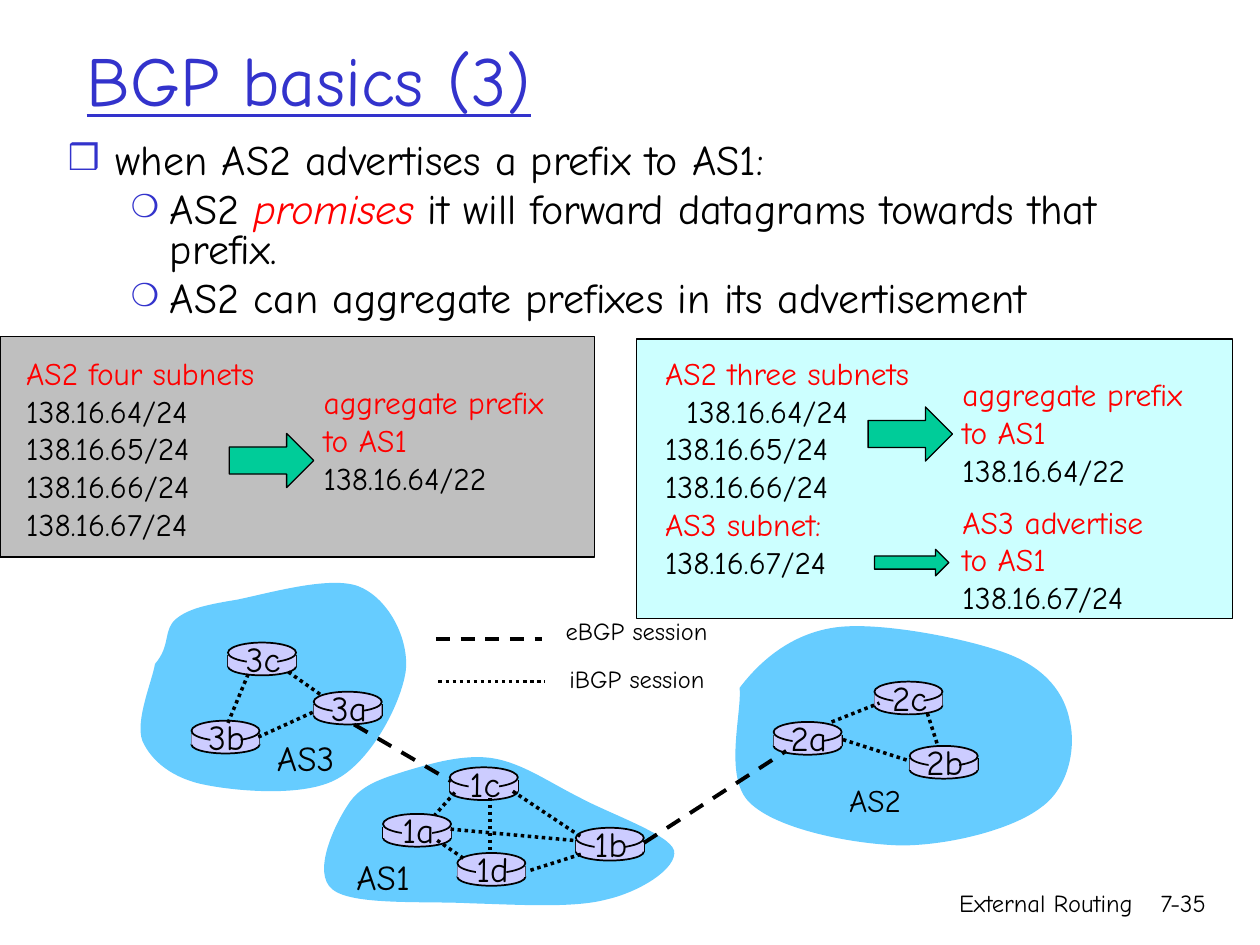
from lxml import etree
from pptx import Presentation
from pptx.dml.color import RGBColor
from pptx.enum.dml import MSO_LINE
from pptx.enum.shapes import MSO_CONNECTOR, MSO_SHAPE
from pptx.enum.text import MSO_ANCHOR, PP_ALIGN
from pptx.oxml.ns import qn
from pptx.util import Inches, Pt

RECT, OVAL, ARROW = MSO_SHAPE.RECTANGLE, MSO_SHAPE.OVAL, MSO_SHAPE.RIGHT_ARROW
STRAIGHT = MSO_CONNECTOR.STRAIGHT
DASH, DOT = MSO_LINE.DASH, MSO_LINE.ROUND_DOT
LEFT, CENTER, RIGHT = PP_ALIGN.LEFT, PP_ALIGN.CENTER, PP_ALIGN.RIGHT
TOP, MIDDLE = MSO_ANCHOR.TOP, MSO_ANCHOR.MIDDLE
FONT = "Comic Neue"
COLORS = {
    "black": "000000", "blue": "3333CC", "red": "FF0000", "gray": "BFBFBF",
    "cyan": "CCFFFF", "cloud": "66CCFF", "node": "CCCCFF", "green": "00CC99",
}

AS3 = {
    "name": "AS3", "size": 20, "tag": (1.03, 1.24), "start": (0.16, 0.71),
    "curves": [
        (0.29, 0.56, 0.22, 0.44, 0.33, 0.35), (0.43, 0.27, 0.57, 0.24, 0.81, 0.2),
        (1.06, 0.15, 1.57, 0, 1.79, 0.1), (2.02, 0.2, 2.18, 0.52, 2.15, 0.77),
        (2.11, 1.03, 1.88, 1.47, 1.61, 1.62), (1.35, 1.77, 0.81, 1.72, 0.56, 1.67),
        (0.3, 1.62, 0.13, 1.48, 0.06, 1.32), (0, 1.16, 0.14, 0.84, 0.16, 0.71)],
    "nodes": {"3b": (0.45, 1.16), "3a": (1.42, 0.93), "3c": (0.74, 0.54)},
    "links": [(0.98, 1.29, 1.42, 1.09), (1.47, 0.95, 1.2, 0.76), (0.9, 0.79, 0.73, 1.2)],
}
AS1 = {
    "name": "AS1", "size": 20, "tag": (0.26, 0.76), "start": (0.29, 0.41),
    "curves": [
        (0.39, 0.25, 0.56, 0.2, 0.75, 0.14), (0.95, 0.08, 1.22, 0, 1.45, 0.04),
        (1.68, 0.08, 1.89, 0.23, 2.13, 0.35), (2.37, 0.48, 2.84, 0.64, 2.88, 0.77),
        (2.91, 0.91, 2.61, 1.1, 2.34, 1.16), (2.08, 1.23, 1.63, 1.2, 1.27, 1.19),
        (0.91, 1.17, 0.33, 1.21, 0.17, 1.08), (0, 0.95, 0.19, 0.56, 0.29, 0.41)],
    "nodes": {"1a": (0.57, 0.48), "1b": (2.1, 0.59), "1c": (1.1, 0.11), "1d": (1.16, 0.79)},
    "links": [(1.14, 0.31, 0.98, 0.49), (1.42, 0.35, 1.42, 0.78), (1.6, 0.3, 2.14, 0.66),
              (2.14, 0.8, 1.73, 0.93), (2.08, 0.69, 1.1, 0.6), (1, 0.69, 1.22, 0.84)],
}
AS2 = {
    "name": "AS2", "size": 18, "tag": (0.9, 1.22), "start": (0.13, 0.53),
    "curves": [
        (0.28, 0.33, 0.53, 0.1, 0.89, 0.05), (1.24, 0, 1.95, 0.14, 2.26, 0.26),
        (2.57, 0.38, 2.71, 0.58, 2.75, 0.79), (2.8, 0.99, 2.75, 1.32, 2.52, 1.48),
        (2.3, 1.65, 1.8, 1.78, 1.41, 1.78), (1.02, 1.77, 0.42, 1.65, 0.21, 1.44),
        (0, 1.24, 0.15, 0.73, 0.13, 0.53)],
    "nodes": {"2a": (0.4, 0.8), "2c": (1.2, 0.48), "2b": (1.48, 0.99)},
    "links": [(0.95, 0.94, 1.48, 1.11), (0.86, 0.8, 1.24, 0.65), (1.62, 0.73, 1.7, 0.98)],
}


def rgb(name):
    return RGBColor.from_string(COLORS[name])


def paint(shape, fill, width=None):
    shape.shadow.inherit = False
    shape.fill.solid()
    shape.fill.fore_color.rgb = rgb(fill)
    if width:
        shape.line.color.rgb = rgb("black")
        shape.line.width = Pt(width)
    else:
        shape.line.fill.background()


def block(slide, kind, x, y, w, h, fill, width=None):
    shape = slide.shapes.add_shape(kind, Inches(x), Inches(y), Inches(w), Inches(h))
    paint(shape, fill, width)


def line(slide, x1, y1, x2, y2, width, dash=None):
    link = slide.shapes.add_connector(STRAIGHT, Inches(x1), Inches(y1), Inches(x2), Inches(y2))
    link.line.color.rgb = rgb("black")
    link.line.width = Pt(width)
    if dash:
        link.line.dash_style = dash
    etree.SubElement(link._element.spPr, qn("a:effectLst"))


def text(slide, x, y, w, h, rows, size, align=LEFT, anchor=TOP):
    box = slide.shapes.add_textbox(Inches(x), Inches(y), Inches(w), Inches(h))
    frame = box.text_frame
    frame.word_wrap = True
    frame.vertical_anchor = anchor
    for i, (words, color) in enumerate(rows):
        para = frame.paragraphs[0] if i == 0 else frame.add_paragraph()
        para.text = words
        para.alignment = align
        para.font.name = FONT
        para.font.size = Pt(size)
        para.font.color.rgb = rgb(color)
    return frame


def indent(para, left, hang):
    props = para._p.get_or_add_pPr()
    props.set("marL", str(Inches(left)))
    props.set("indent", str(-Inches(hang)))
    return props


def bullet(para, mark, left, hang, scale):
    props = indent(para, left, hang)
    color = etree.SubElement(props, qn("a:buClr"))
    etree.SubElement(color, qn("a:srgbClr"), val=COLORS["blue"])
    etree.SubElement(props, qn("a:buSzPct"), val=str(scale * 1000))
    etree.SubElement(props, qn("a:buFont"), typeface=FONT)
    etree.SubElement(props, qn("a:buChar"), char=mark)


def body(slide, x, y, w, h):
    rows = [
        (0, ["when AS2 advertises a prefix to AS1:"]),
        (1, ["AS2 ", "promises", " it will forward datagrams towards that prefix."]),
        (1, ["AS2 can aggregate prefixes in its advertisement"]),
    ]
    frame = text(slide, x, y, w, h, [("", "black")] * len(rows), 24)
    for para, (level, parts) in zip(frame.paragraphs, rows):
        para.level = level
        para.line_spacing = 0.8
        para.space_before = Pt(4.8)
        bullet(para, *(("❍", 0.81, 0.31, 75) if level else ("❒", 0.38, 0.38, 85)))
        for part in parts:
            run = para.add_run()
            run.text = part
            if part == "promises":
                run.font.italic = True
                run.font.color.rgb = rgb("red")


def router(slide, x, y, name):
    w = 0.54
    block(slide, OVAL, x, y + 0.12, w, 0.14, "node", 1)
    for side in (x, x + w):
        line(slide, side, y + 0.1, side, y + 0.19, 1)
    block(slide, RECT, x, y + 0.1, w, 0.09, "node")
    block(slide, OVAL, x, y, w, 0.16, "node", 1)
    block(slide, RECT, x + 0.15, y + 0.02, 0.24, 0.21, "node")
    text(slide, x - 0.02, y - 0.09, 0.6, 0.43, [(name, "black")], 20, CENTER)


def trace(track, verb, spots):
    step = etree.SubElement(track, qn(verb))
    for px, py in spots:
        etree.SubElement(step, qn("a:pt"), x=str(Inches(px)), y=str(Inches(py)))


def cloud(slide, x, y, start, curves):
    w = max(max(curve[::2]) for curve in curves)
    h = max(max(curve[1::2]) for curve in curves)
    left, top, right, base = (Inches(v) for v in (x, y, x + w, y + h))
    form = slide.shapes.build_freeform(left, top)
    form.add_line_segments([(right, top), (right, base), (left, base)])
    shape = form.convert_to_shape()
    track = next(shape._element.iter(qn("a:path")))
    for step in list(track):
        track.remove(step)
    trace(track, "a:moveTo", [start])
    for curve in curves:
        trace(track, "a:cubicBezTo", zip(curve[::2], curve[1::2]))
    etree.SubElement(track, qn("a:close"))
    paint(shape, "cloud")


def region(slide, x, y, net):
    cloud(slide, x, y, net["start"], net["curves"])
    for name, (dx, dy) in net["nodes"].items():
        router(slide, x + dx, y + dy, name)
    for x1, y1, x2, y2 in net["links"]:
        line(slide, x + x1, y + y1, x + x2, y + y2, 2, DOT)
    dx, dy = net["tag"]
    text(slide, x + dx, y + dy, 0.77, 0.43, [(net["name"], "black")], net["size"])


def legend(slide, x, y):
    for i, (name, dash) in enumerate((("eBGP session", DASH), ("iBGP session", DOT))):
        dx, dy = 0.02 * i, 0.34 * i
        line(slide, x + dx, y + dy, x + dx + 0.84, y + dy, 2, dash)
        text(slide, x + 0.93 + 1.5 * dx, y - 0.23 + 1.12 * dy, 1.37, 0.33, [(name, "black")], 14)


def result(slide, x, y, head, prefix):
    rows = [(head, "red"), ("to AS1", "red"), (prefix, "black")]
    text(slide, x, y, 2.27, 1.01, rows, 18)


def subnets(slide, x, y, head, last=(), shift=0):
    nets = [(f"138.16.{n}/24", "black") for n in (65, 66)]
    rows = [(head, "red"), *nets, *last, ("138.16.67/24", "black")]
    frame = text(slide, x, y, 2.44, 0.3 * len(rows) + 0.4, rows, 18)
    first = frame.paragraphs[0]
    indent(first, shift, shift)
    first.add_line_break()
    run = first.add_run()
    run.text = "138.16.64/24"
    run.font.color.rgb = rgb("black")


def four(slide, x, y, w, h):
    block(slide, RECT, x, y, w, h, "gray", 0.75)
    subnets(slide, x + 0.11, y + 0.09, "AS2 four subnets")
    result(slide, x + 2.47, y + 0.32, "aggregate prefix", "138.16.64/22")
    block(slide, ARROW, x + 1.82, y + 0.77, 0.67, 0.43, "green", 0.75)


def three(slide, x, y, w, h):
    block(slide, RECT, x, y, w, h, "cyan", 0.75)
    subnets(slide, x + 0.13, y + 0.07, "AS2 three subnets", [("AS3 subnet:", "red")], 0.17)
    result(slide, x + 2.49, y + 0.24, "aggregate prefix", "138.16.64/22")
    result(slide, x + 2.49, y + 1.25, "AS3 advertise", "138.16.67/24")
    block(slide, ARROW, x + 1.84, y + 0.54, 0.67, 0.43, "green", 0.75)
    block(slide, ARROW, x + 1.89, y + 1.67, 0.59, 0.21, "green", 0.75)


def main():
    deck = Presentation()
    deck.slide_width, deck.slide_height = Inches(10), Inches(7.5)
    slide = deck.slides.add_slide(deck.slide_layouts[6])
    title = text(slide, 0.59, 0, 8.5, 1.25, [("BGP basics (3)", "blue")], 40, anchor=MIDDLE)
    title.paragraphs[0].font.underline = True
    body(slide, 0.44, 1.09, 8.64, 2.53)
    three(slide, 5.05, 2.69, 4.73, 2.22)
    four(slide, 0, 2.67, 4.72, 1.75)
    region(slide, 5.74, 4.93, AS2)
    region(slide, 1.07, 4.56, AS3)
    region(slide, 2.47, 5.98, AS1)
    line(slide, 2.81, 5.75, 3.58, 6.2, 2.25, DASH)
    line(slide, 5.11, 6.69, 6.24, 5.96, 2.25, DASH)
    legend(slide, 3.46, 5.07)
    text(slide, 5.92, 7, 3.17, 0.5, [("External Routing", "black")], 14, RIGHT)
    text(slide, 8.93, 7, 0.74, 0.5, [("7-35", "black")], 14, RIGHT)
    deck.save("out.pptx")


if __name__ == "__main__":
    main()
